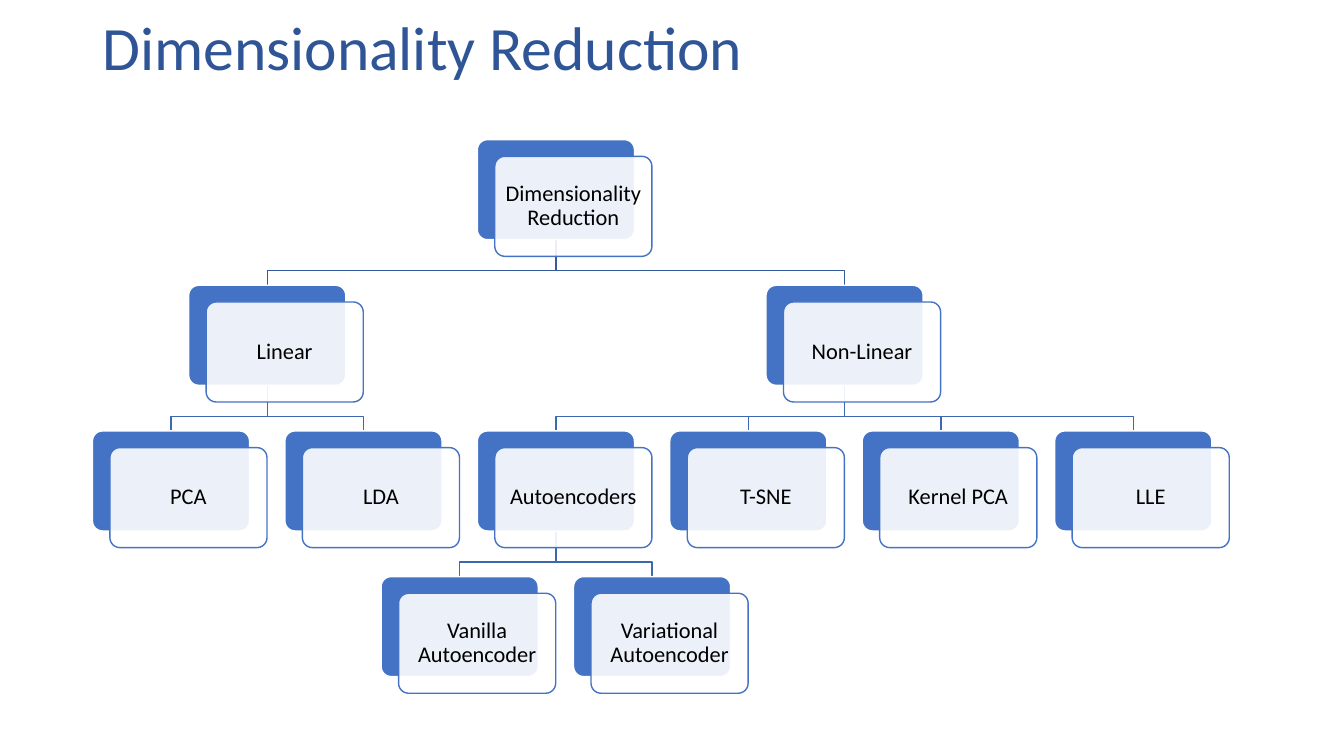
from dataclasses import dataclass

from lxml.etree import SubElement
from pptx import Presentation
from pptx.dml.color import RGBColor as Rgb
from pptx.enum.shapes import MSO_SHAPE as Shape
from pptx.enum.text import MSO_ANCHOR as Anchor, PP_ALIGN as Align
from pptx.oxml.ns import qn
from pptx.util import Cm, Pt


@dataclass(frozen=True)
class Theme:
    face: str = "Calibri"
    head: Rgb = Rgb(0x2F, 0x55, 0x97)
    blue: Rgb = Rgb(0x44, 0x72, 0xC4)
    white: Rgb = Rgb(0xFF, 0xFF, 0xFF)
    black: Rgb = Rgb(0, 0, 0)
    trunk: Rgb = Rgb(0x36, 0x5B, 0x9D)
    twig: Rgb = Rgb(0x3E, 0x67, 0xB2)
    big: int = 44
    small: int = 16


THEME = Theme()

# Grid in centimetres: first card, steps, card size, front card shift
LEFT, TOP = 2.33, 3.52
COL, ROW = 4.85, 3.67
WIDE, HIGH = 3.96, 2.52
SHIFT_X, SHIFT_Y = 0.44, 0.42
BEND = 0.37

# Each node: label, column, children
TREE = ("Dimensionality Reduction", 2, [
    ("Linear", 0.5, [("PCA", 0, []), ("LDA", 1, [])]),
    ("Non-Linear", 3.5, [
        ("Autoencoders", 2, [
            ("Vanilla Autoencoder", 1.5, []),
            ("Variational Autoencoder", 2.5, []),
        ]),
        ("T-SNE", 3, []),
        ("Kernel PCA", 4, []),
        ("LLE", 5, []),
    ]),
])


def apply(target, form):
    for name, value in form.items():
        setattr(target, name, value)


def write(shape, text, size, color, align, inset):
    frame = shape.text_frame
    apply(frame, {"word_wrap": True, "vertical_anchor": Anchor.MIDDLE,
                  "margin_left": Cm(inset), "margin_right": Cm(inset),
                  "margin_top": Cm(0.13), "margin_bottom": Cm(0.13)})
    para = frame.paragraphs[0]
    apply(para, {"text": text, "alignment": align, "line_spacing": 0.9})
    apply(para.font, {"name": THEME.face, "size": Pt(size)})
    para.font.color.rgb = color


def title(slide, text):
    box = slide.shapes.add_textbox(Cm(2.33), Cm(0.05), Cm(29.21), Cm(2.46))
    write(box, text, THEME.big, THEME.head, Align.LEFT, 0.25)


def panel(slide, x, y, fill, line):
    shape = slide.shapes.add_shape(
        Shape.ROUNDED_RECTANGLE, Cm(x), Cm(y), Cm(WIDE), Cm(HIGH))
    shape.adjustments[0] = 0.1
    shape.shadow.inherit = False
    shape.fill.solid()
    shape.fill.fore_color.rgb = fill
    shape.line.color.rgb = line
    shape.line.width = Pt(1)
    return shape


def fade(shape, percent):
    color = shape.fill._xPr.find(qn("a:solidFill"))[0]
    SubElement(color, qn("a:alpha"), val=str(percent * 1000))


def place(col, row):
    return LEFT + col * COL, TOP + row * ROW


def card(slide, label, col, row):
    x, y = place(col, row)
    panel(slide, x, y, THEME.blue, THEME.white)
    front = panel(slide, x + SHIFT_X, y + SHIFT_Y, THEME.white, THEME.blue)
    fade(front, 90)
    write(front, label, THEME.small, THEME.black, Align.CENTER, 0.16)


def elbow(slide, start, end, row):
    x, y = place(start, row)
    to_x, to_y = place(end, row + 1)
    x, to_x = x + WIDE / 2, to_x + WIDE / 2
    bend = to_y - BEND
    path = slide.shapes.build_freeform(Cm(x), Cm(y + HIGH))
    path.add_line_segments(
        [(Cm(x), Cm(bend)), (Cm(to_x), Cm(bend)), (Cm(to_x), Cm(to_y))],
        close=False)
    shape = path.convert_to_shape()
    shape.shadow.inherit = False
    shape.fill.background()
    shape.line.color.rgb = THEME.twig if row else THEME.trunk
    shape.line.width = Pt(1)


def links(slide, node, row=0):
    _, col, kids = node
    for kid in kids:
        elbow(slide, col, kid[1], row)
        links(slide, kid, row + 1)


def cards(slide, node, row=0):
    label, col, kids = node
    card(slide, label, col, row)
    for kid in kids:
        cards(slide, kid, row + 1)


def main():
    deck = Presentation()
    apply(deck, {"slide_width": Cm(33.87), "slide_height": Cm(19.05)})
    slide = deck.slides.add_slide(deck.slide_layouts[6])
    title(slide, "Dimensionality Reduction")
    # Links lie behind the cards
    links(slide, TREE)
    cards(slide, TREE)
    deck.save("out.pptx")


if __name__ == "__main__":
    main()
